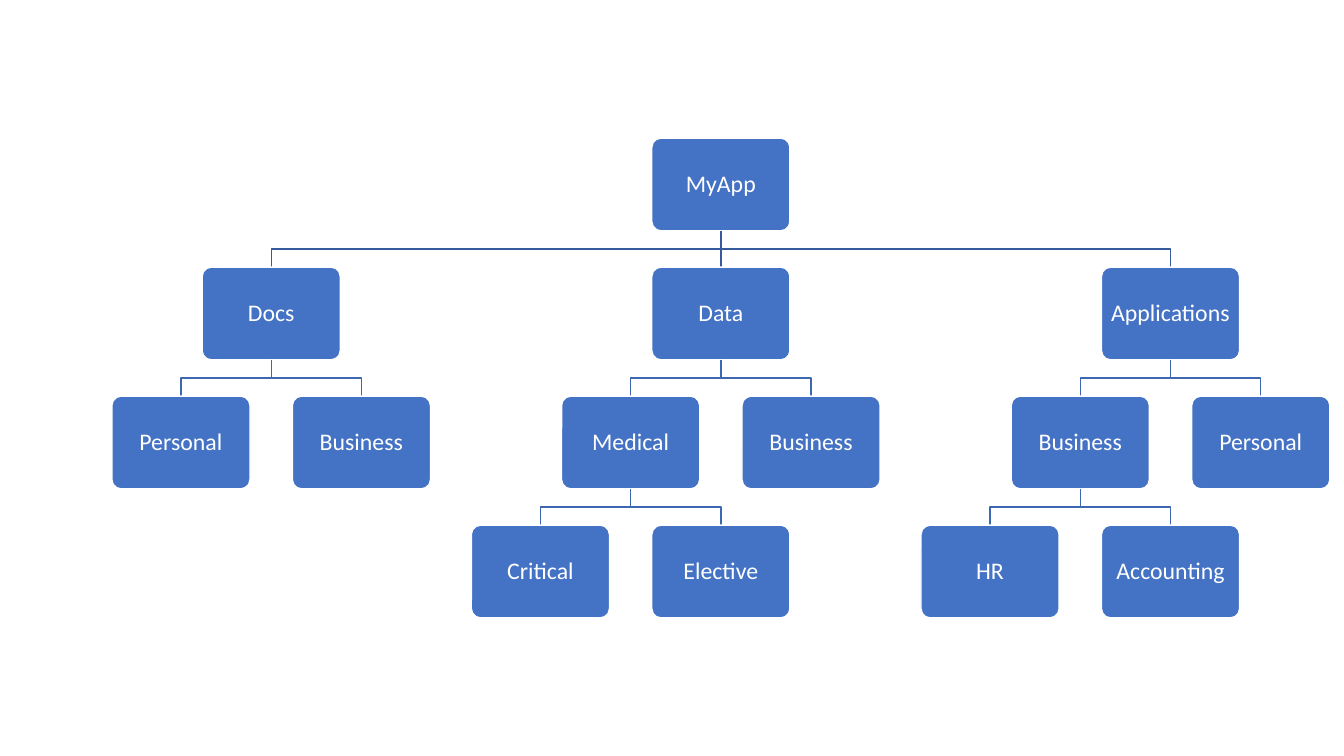
"""Build a slide with the folder hierarchy of MyApp."""
from lxml.etree import SubElement
from pptx import Presentation
from pptx.dml.color import RGBColor
from pptx.enum.shapes import MSO_CONNECTOR, MSO_SHAPE
from pptx.enum.text import MSO_ANCHOR, PP_ALIGN
from pptx.oxml.ns import qn
from pptx.util import Inches, Pt

TREE = ("MyApp", [
    ("Docs", [("Personal", []), ("Business", [])]),
    ("Data", [
        ("Medical", [("Critical", []), ("Elective", [])]),
        ("Business", []),
    ]),
    ("Applications", [
        ("Business", [("HR", []), ("Accounting", [])]),
        ("Personal", []),
    ]),
])
COLORS = {"box": "4472C4", "edge": "FFFFFF", "text": "FFFFFF",
          "root_link": "365B9D", "link": "3E67B2"}
ROOT_CENTER, ROOT_TOP = 7.15, 1.37
BOX_WIDTH, BOX_HEIGHT = 1.37, 0.92
LEVEL_STEP = 1.28
ROOT_SPREAD, SPREAD = 4.46, 1.79


def color(name):
    return RGBColor.from_string(COLORS[name])


def add_link(shapes, start_x, end_x, start_y, end_y, color_name):
    middle = Inches((start_y + end_y) / 2)
    start_x, end_x, start_y, end_y = map(Inches, (start_x, end_x, start_y, end_y))
    if start_x == end_x:
        link = shapes.add_connector(MSO_CONNECTOR.STRAIGHT, start_x, start_y, end_x, end_y)
        SubElement(link._element.spPr, qn("a:effectLst"))
    else:
        builder = shapes.build_freeform(start_x, start_y)
        builder.add_line_segments(
            [(start_x, middle), (end_x, middle), (end_x, end_y)], close=False)
        link = builder.convert_to_shape()
        link.fill.background()
        link.shadow.inherit = False
    link.line.color.rgb = color(color_name)
    link.line.width = Pt(1)


def add_box(shapes, label, center, top):
    box = shapes.add_shape(MSO_SHAPE.ROUNDED_RECTANGLE, Inches(center - BOX_WIDTH / 2),
                           Inches(top), Inches(BOX_WIDTH), Inches(BOX_HEIGHT))
    box.adjustments[0] = 0.1
    box.shadow.inherit = False
    box.fill.solid()
    box.fill.fore_color.rgb = color("box")
    box.line.color.rgb = color("edge")
    box.line.width = Pt(1)
    frame = box.text_frame
    frame.word_wrap = False
    frame.vertical_anchor = MSO_ANCHOR.MIDDLE
    frame.margin_left = frame.margin_right = Inches(0.07)
    frame.margin_top = frame.margin_bottom = Inches(0.07)
    para = frame.paragraphs[0]
    para.text = label
    para.alignment = PP_ALIGN.CENTER
    para.line_spacing = 0.9
    para.space_after = Pt(6)
    para.font.name = "Calibri"
    para.font.size = Pt(17)
    para.font.color.rgb = color("text")


def add_branch(shapes, node, center, level=0):
    label, children = node
    top = ROOT_TOP + level * LEVEL_STEP
    add_box(shapes, label, center, top)
    spread = SPREAD if level else ROOT_SPREAD
    for index, child in enumerate(children):
        child_center = center + (index - (len(children) - 1) / 2) * spread
        add_link(shapes, center, child_center, top + BOX_HEIGHT, top + LEVEL_STEP,
                 "link" if level else "root_link")
        add_branch(shapes, child, child_center, level + 1)


def main():
    deck = Presentation()
    deck.slide_width, deck.slide_height = Inches(13.33), Inches(7.5)
    slide = deck.slides.add_slide(deck.slide_layouts[6])
    add_branch(slide.shapes, TREE, ROOT_CENTER)
    deck.save("out.pptx")


if __name__ == "__main__":
    main()
